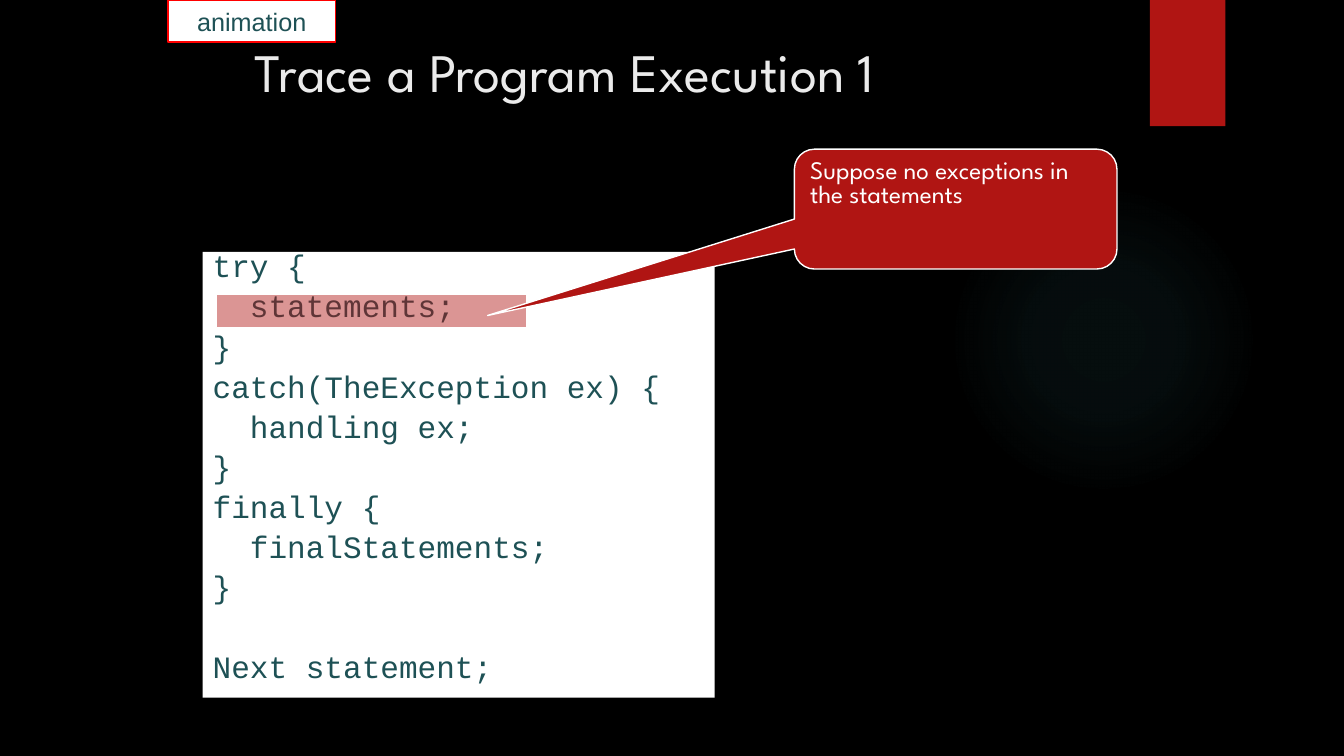
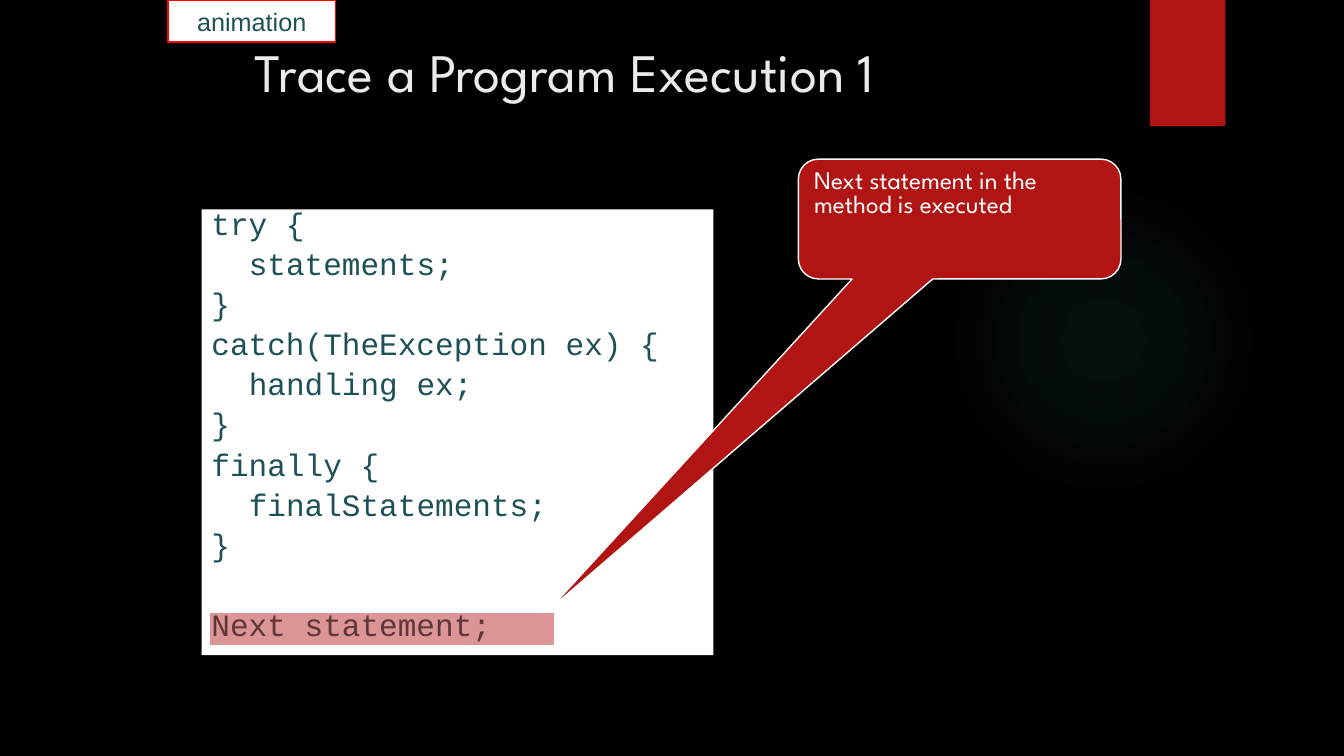
from lxml import etree
from pptx import Presentation
from pptx.dml.color import RGBColor
from pptx.enum.shapes import MSO_SHAPE
from pptx.enum.text import MSO_ANCHOR, MSO_AUTO_SIZE, PP_ALIGN
from pptx.oxml import parse_xml
from pptx.oxml.ns import nsdecls, qn
from pptx.util import Cm, Pt

BLACK = RGBColor(0x00, 0x00, 0x00)
WHITE = RGBColor(0xFF, 0xFF, 0xFF)
CRIMSON = RGBColor(0xB0, 0x15, 0x13)
RED = RGBColor(0xFF, 0x00, 0x00)
TEAL = RGBColor(0x1E, 0x51, 0x55)
AQUA = RGBColor(0x50, 0xB9, 0xC1)
PALE = RGBColor(0xEB, 0xEB, 0xEB)

TITLE_FORMAT = {"font": "League Spartan", "size": 38.7, "color": PALE}
BADGE_FORMAT = {"font": "Arial", "size": 18, "color": TEAL,
                "alignment": PP_ALIGN.CENTER}
CALLOUT_FORMAT = {"font": "League Spartan", "size": 18, "color": WHITE,
                  "line_spacing": 0.8, "space_before": Pt(3.6)}
CODE_FORMAT = {"font": "Courier New", "size": 22.2, "color": TEAL,
               "line_spacing": 0.7, "space_before": Pt(10)}

# Each code line: indent level and text
CODE = [
    (0, "try {"),
    (1, "statements;"),
    (0, "}"),
    (0, "catch(TheException ex) {"),
    (1, "handling ex;"),
    (0, "}"),
    (0, "finally {"),
    (1, "finalStatements;"),
    (0, "}"),
    (0, "Next statement;"),
]
CODE_INDENT = Cm(0.94)
SECTION_GAP = Pt(38.5)

STEPS = [
    {"code": (5.11, 6.35), "highlight": (5.46, 7.42, 7.82, 0.84),
     "callout": (20.02, 3.76), "pointer": (-1.451, 0.888),
     "message": "Suppose no exceptions in the statements"},
    {"code": (5.08, 5.28), "highlight": (5.28, 15.44, 8.69, 0.84),
     "callout": (20.12, 4.01), "pointer": (-1.272, 3.259),
     "message": "Next statement in the method is executed"},
]


def add_box(slide, kind, box, fill, line=None):
    """Add a shadowless preset shape with a plain fill and optional line."""
    shape = slide.shapes.add_shape(kind, *(Cm(value) for value in box))
    shape.shadow.inherit = False
    shape.fill.solid()
    shape.fill.fore_color.rgb = fill
    if line is None:
        shape.line.fill.background()
    else:
        shape.line.color.rgb = line
        shape.line.width = Pt(1)
    shape.text_frame.vertical_anchor = MSO_ANCHOR.TOP
    return shape


def write(paragraph, text, style):
    """Put text in a paragraph and apply a dict of format values."""
    values = {"alignment": PP_ALIGN.LEFT, **style}
    run = paragraph.add_run()
    run.text = text
    run.font.name = values.pop("font")
    run.font.size = Pt(values.pop("size"))
    run.font.color.rgb = values.pop("color")
    for name, value in values.items():
        setattr(paragraph, name, value)


presentation = Presentation()
presentation.slide_width = Cm(33.87)
presentation.slide_height = Cm(19.05)
layout = presentation.slide_layouts[5]
layout.background.fill.solid()
layout.background.fill.fore_color.rgb = BLACK
slides = [presentation.slides.add_slide(layout) for step in STEPS]

# Shared decoration is drawn once and moved to the layout
glow = add_box(slides[0], MSO_SHAPE.OVAL, (23.9, 4.65, 7.82, 7.82), AQUA)
stops = "".join(
    f'<a:gs pos="{position * 1000}"><a:srgbClr val="{AQUA}">'
    f'<a:alpha val="{alpha * 1000}"/></a:srgbClr></a:gs>'
    for position, alpha in ((0, 7), (36, 6), (69, 0), (100, 0)))
gradient = parse_xml(
    f'<a:gradFill {nsdecls("a")}><a:gsLst>{stops}</a:gsLst><a:path path="circle">'
    '<a:fillToRect l="50000" t="50000" r="50000" b="50000"/></a:path></a:gradFill>')
solid = glow.element.spPr.find(qn("a:solidFill"))
solid.getparent().replace(solid, gradient)
tab = add_box(slides[0], MSO_SHAPE.RECTANGLE, (28.98, 0, 1.9, 3.18), CRIMSON)
for shape in (glow, tab):
    layout.shapes.element.append(shape.element)

for slide, step in zip(slides, STEPS):
    title = slide.shapes.title
    title.left, title.top, title.width, title.height = (
        Cm(value) for value in (6.15, 0.84, 21.59, 1.47))
    title.text_frame.auto_size = MSO_AUTO_SIZE.NONE
    title.text_frame.vertical_anchor = MSO_ANCHOR.TOP
    write(title.text_frame.paragraphs[0], "Trace a Program Execution 1", TITLE_FORMAT)

    code = add_box(slide, MSO_SHAPE.RECTANGLE, (*step["code"], 12.9, 11.23), WHITE)
    for index, (level, text) in enumerate(CODE):
        frame = code.text_frame
        paragraph = frame.add_paragraph() if index else frame.paragraphs[0]
        write(paragraph, text, CODE_FORMAT)
        paragraph._p.get_or_add_pPr().set("marL", str(level * CODE_INDENT))
    paragraph.space_before = SECTION_GAP

    badge = add_box(slide, MSO_SHAPE.RECTANGLE, (4.23, 0, 4.23, 1.06), WHITE, RED)
    badge.text_frame.word_wrap = False
    badge.text_frame.vertical_anchor = MSO_ANCHOR.MIDDLE
    write(badge.text_frame.paragraphs[0], "animation", BADGE_FORMAT)

    highlight = add_box(slide, MSO_SHAPE.RECTANGLE, step["highlight"], CRIMSON, WHITE)
    color = highlight.element.spPr.find(qn("a:solidFill"))[0]
    etree.SubElement(color, qn("a:alpha")).set("val", "45000")

    callout = add_box(slide, MSO_SHAPE.ROUNDED_RECTANGULAR_CALLOUT,
                      (*step["callout"], 8.13, 3.02), CRIMSON, WHITE)
    for index, value in enumerate((*step["pointer"], 0.167)):
        callout.adjustments[index] = value
    write(callout.text_frame.paragraphs[0], step["message"], CALLOUT_FORMAT)

presentation.save("out.pptx")
